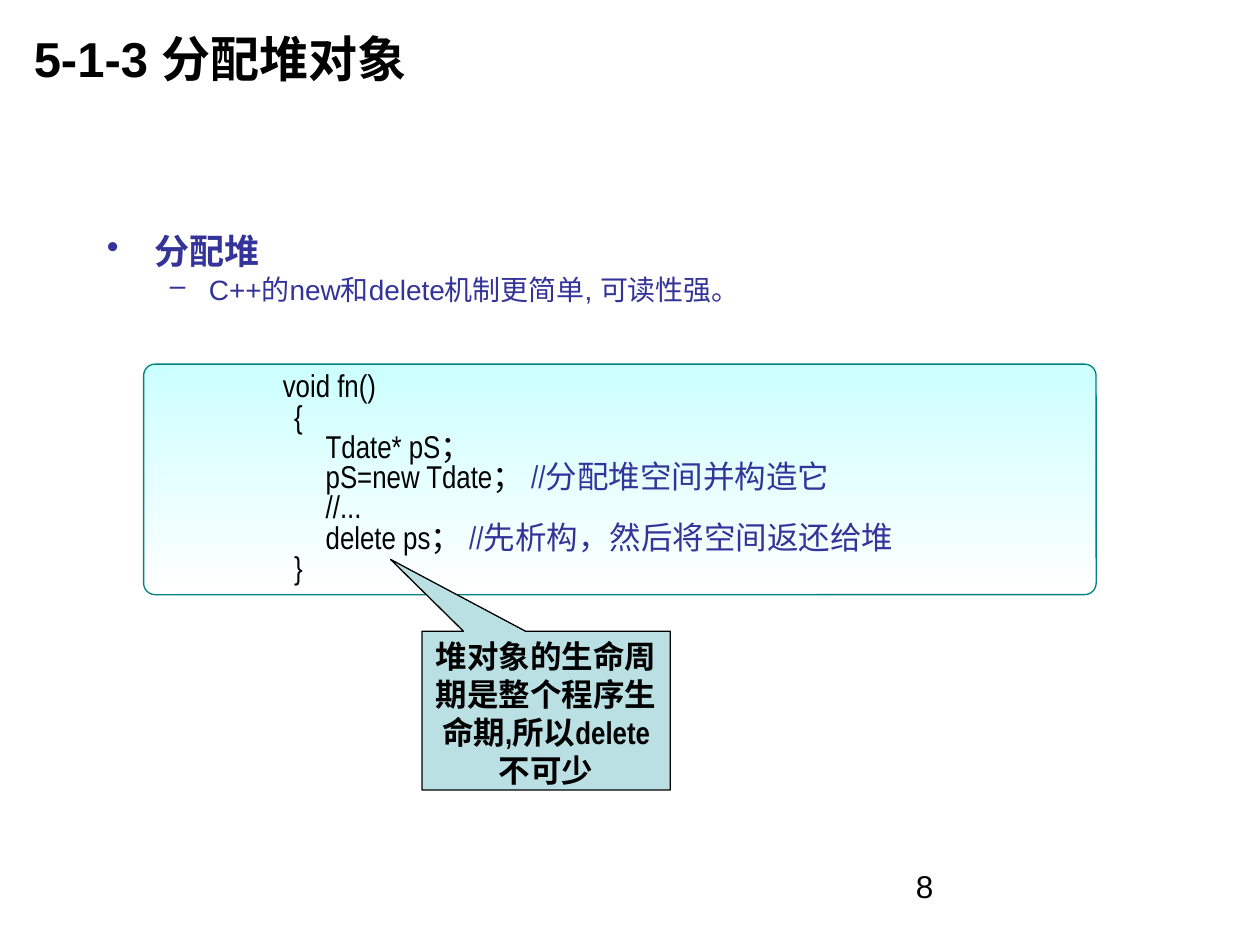
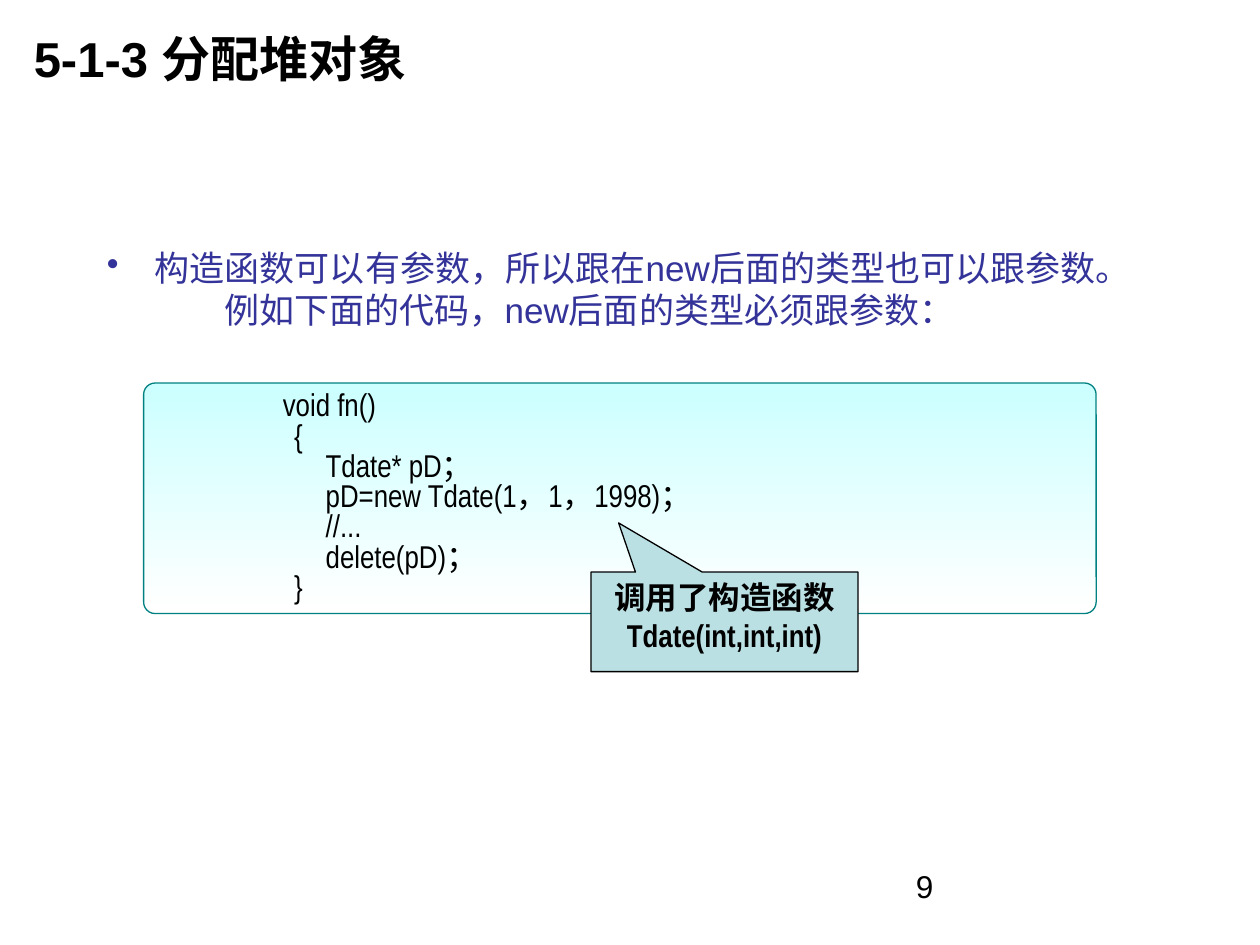
from lxml import etree
from pptx import Presentation
from pptx.dml.color import RGBColor
from pptx.enum.shapes import MSO_SHAPE
from pptx.enum.text import MSO_ANCHOR, PP_ALIGN
from pptx.oxml.ns import qn
from pptx.util import Inches, Pt

BLACK = RGBColor(0x00, 0x00, 0x00)
WHITE = RGBColor(0xFF, 0xFF, 0xFF)
NAVY = RGBColor(0x33, 0x33, 0x99)
TEAL = RGBColor(0x00, 0x80, 0x80)
AQUA = RGBColor(0xCC, 0xFF, 0xFF)
PALE = RGBColor(0xBB, 0xE0, 0xE3)
SANS, NARROW = "Arial", "Arial Narrow"
ROUND = MSO_SHAPE.ROUNDED_RECTANGLE
WEDGE = MSO_SHAPE.RECTANGULAR_CALLOUT
LEFT, CENTER = PP_ALIGN.LEFT, PP_ALIGN.CENTER
TOP, MIDDLE = MSO_ANCHOR.TOP, MSO_ANCHOR.MIDDLE
STEPS = (0.98, 1.07, 1.32)


def write(frame, text, note="", size=18, font=SANS, color=BLACK, bold=False,
          align=LEFT, space=1, before=0, left=0, hang=0, bullet=None):
    para = frame.paragraphs[0]
    if para.runs:
        para = frame.add_paragraph()
    para.alignment = align
    para.line_spacing = space
    para.space_before = Pt(before)
    props = para._p.get_or_add_pPr()
    props.set("marL", str(Inches(left)))
    props.set("indent", str(-Inches(hang)))
    if bullet:
        etree.SubElement(props, qn("a:buChar")).set("char", bullet)
    for part, tint in ((text, color), (note, NAVY)):
        if part:
            run = para.add_run()
            run.text = part
            run.font.size = Pt(size)
            run.font.name = font
            run.font.bold = bold
            run.font.color.rgb = tint


def frame_of(shape, anchor=TOP, top=0.05):
    frame = shape.text_frame
    frame.word_wrap = True
    frame.vertical_anchor = anchor
    frame.margin_top = Inches(top)
    return frame


def text_box(slide, box, **format):
    return frame_of(slide.shapes.add_textbox(*map(Inches, box)), **format)


def panel(slide, kind, box, line):
    shape = slide.shapes.add_shape(kind, *map(Inches, box))
    shape.shadow.inherit = False
    shape.line.color.rgb = line
    shape.line.width = Pt(0.75)
    return shape


def base(deck, number):
    slide = deck.slides.add_slide(deck.slide_layouts[6])
    title = text_box(slide, (0.17, 0, 7.5, 0.92), anchor=MIDDLE)
    write(title, "5-1-3 分配堆对象", size=28, bold=True)
    write(text_box(slide, (7.17, 6.83, 2.33, 0.52)), str(number))
    return slide


def body(slide, box, top, lines):
    frame = text_box(slide, box, top=top)
    for text, format in lines:
        write(frame, text, color=NAVY, **format)


def code(slide, box, lines):
    shape = panel(slide, ROUND, box, TEAL)
    shape.adjustments[0] = 0.05
    shape.fill.gradient()
    shape.fill.gradient_angle = 270
    for stop, (place, color) in zip(shape.fill.gradient_stops,
                                    ((0, AQUA), (1, WHITE))):
        stop.position = place
        stop.color.rgb = color
    frame = frame_of(shape)
    for step, text, note in lines:
        write(frame, text, note, font=NARROW, space=0.8, left=STEPS[step])


def callout(slide, box, tip, text):
    shape = panel(slide, WEDGE, box, BLACK)
    x, y, wide, high = box
    shape.adjustments[0] = (tip[0] - x) / wide - 0.5
    shape.adjustments[1] = (tip[1] - y) / high - 0.5
    shape.fill.solid()
    shape.fill.fore_color.rgb = PALE
    write(frame_of(shape), text, font=NARROW, bold=True, align=CENTER)


def func(name, make, drop, born="", dead=""):
    return [(0, "void fn()", ""), (1, "{", ""),
            (2, f"Tdate* {name}；", ""), (2, make, born),
            (2, "//...", ""), (2, drop, dead), (1, "}", "")]


BODY = (0.75, 1.5, 8.5, 5.17)
HEAD = dict(size=20, left=0.38, hang=0.38, bullet="•")
SUB = dict(size=16, left=0.81, hang=0.31, bullet="–", before=4, space=0.8)

deck = Presentation()
deck.slide_width, deck.slide_height = Inches(10), Inches(7.5)

slide = base(deck, 8)
body(slide, BODY, 0.39, [
    ("分配堆", dict(HEAD, bold=True, space=0.8)),
    ("C++的new和delete机制更简单, 可读性强。", SUB)])
code(slide, (1.14, 2.89, 7.56, 1.83),
     func("pS", "pS=new Tdate； ", "delete ps； ",
          "//分配堆空间并构造它", "//先析构，然后将空间返还给堆"))
callout(slide, (3.35, 5.01, 1.97, 1.26), (3.1, 4.44),
        "堆对象的生命周期是整个程序生命期,所以delete不可少")

slide = base(deck, 9)
body(slide, BODY, 0.46, [
    ("构造函数可以有参数，所以跟在new后面的类型也可以跟参数。", HEAD),
    ("例如下面的代码，new后面的类型必须跟参数：", dict(size=20, left=0.93))])
code(slide, (1.14, 3.04, 7.56, 1.83),
     func("pD", "pD=new Tdate(1，1，1998)；", "delete(pD)；"))
callout(slide, (4.69, 4.54, 2.12, 0.79), (4.91, 4.15),
        "调用了构造函数Tdate(int,int,int)")

deck.save("out.pptx")
